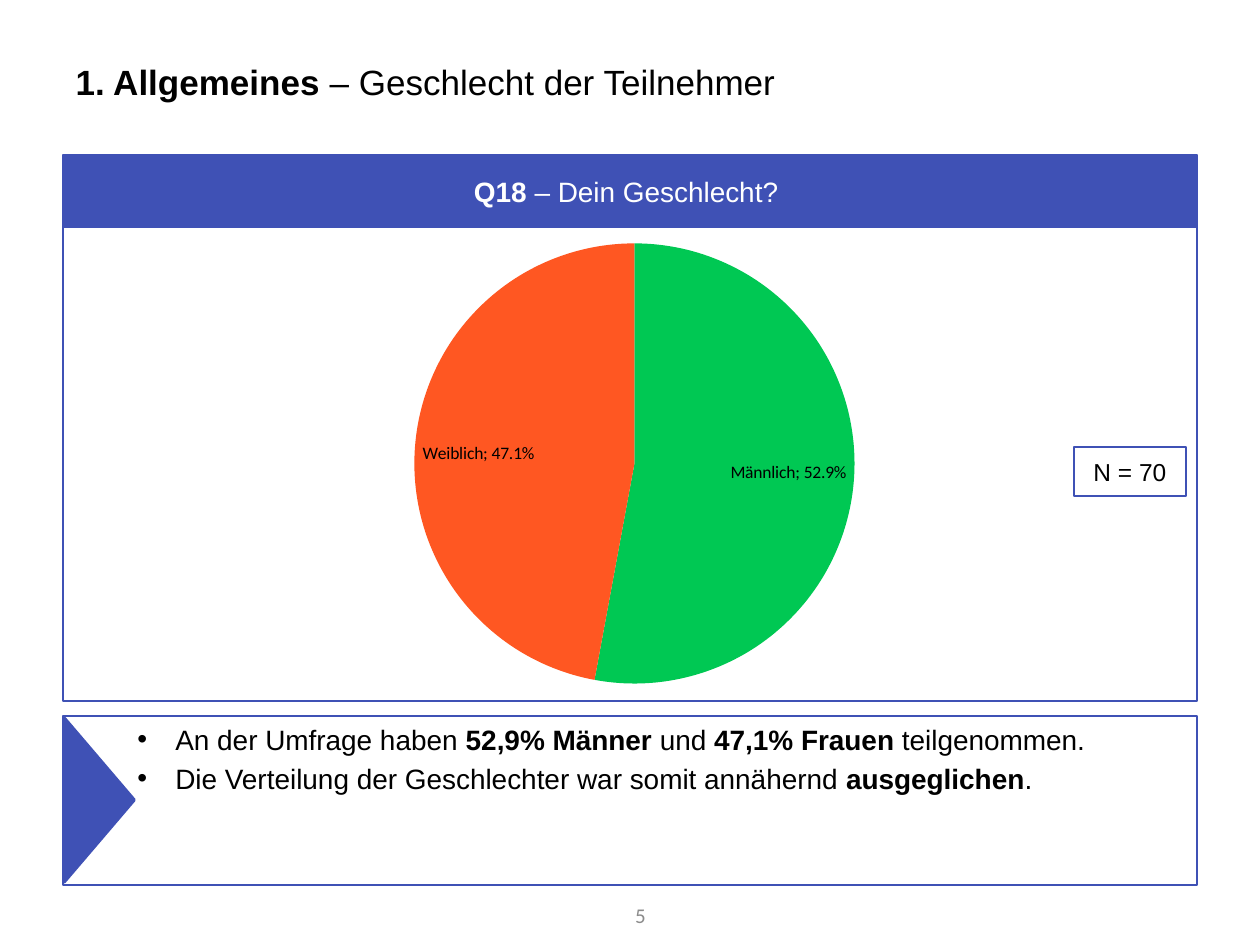
from lxml import etree
from pptx import Presentation
from pptx.chart.data import CategoryChartData
from pptx.dml.color import RGBColor
from pptx.enum.chart import XL_CHART_TYPE, XL_LABEL_POSITION
from pptx.enum.shapes import MSO_SHAPE
from pptx.enum.text import MSO_ANCHOR, PP_ALIGN
from pptx.oxml.ns import qn
from pptx.util import Emu, Pt

PIE = XL_CHART_TYPE.PIE
INSIDE_END = XL_LABEL_POSITION.INSIDE_END
RECTANGLE, TRIANGLE = MSO_SHAPE.RECTANGLE, MSO_SHAPE.ISOSCELES_TRIANGLE
TOP, MIDDLE = MSO_ANCHOR.TOP, MSO_ANCHOR.MIDDLE
LEFT, CENTER, RIGHT = PP_ALIGN.LEFT, PP_ALIGN.CENTER, PP_ALIGN.RIGHT

PIXEL = 914400 // 126
COLORS = {
    "blue": "3F51B5", "green": "00C853", "orange": "FF5722",
    "black": "000000", "white": "FFFFFF", "gray": "8C8C8C",
}

# Each paragraph is a list of (text, bold) spans.
TITLE = [[("1. Allgemeines ", True), ("– Geschlecht der Teilnehmer", False)]]
QUESTION = [[("Q18 ", True), ("– Dein Geschlecht? ", False)]]
SAMPLE = [[("N = 70", False)]]
PAGE_NUMBER = [[("5", False)]]
FINDINGS = [
    [("An der Umfrage haben ", False), ("52,9% Männer ", True), ("und ", False),
     ("47,1% Frauen ", True), ("teilgenommen.", False)],
    [("Die Verteilung der Geschlechter war somit annähernd ", False),
     ("ausgeglichen", True), (".", False)],
]
SHARES = [("Männlich", 0.529, "green"), ("Weiblich", 0.471, "orange")]

# Left, top, width, height in pixels.
PAGE_SIZE = (1260, 945)
TITLE_AT = (63, 38, 1134, 87)
FINDINGS_AT = (63, 716, 1134, 169)
FRAME_AT = (63, 155, 1134, 546)
HEADER_AT = (64, 156, 1132, 70)
SAMPLE_AT = (1074, 447, 112, 49)
NUMBER_AT = (578, 890, 80, 50)
CHART_AT = (194, 226, 881, 475)
MARKER_WIDTH = 70
BULLET_INDENT, BULLET_HANG = 100, 38


def scaled(lengths):
    """Turn pixel lengths into EMU."""
    return [Emu(length * PIXEL) for length in lengths]


def rgb(name):
    """Look up a named colour."""
    return RGBColor.from_string(COLORS[name])


def write(shape, paragraphs, size, color="black", align=LEFT, anchor=MIDDLE,
          font="Arial"):
    """Fill a shape with paragraphs of spans."""
    frame = shape.text_frame
    for name, value in {"word_wrap": True, "vertical_anchor": anchor}.items():
        setattr(frame, name, value)
    for index, spans in enumerate(paragraphs):
        para = frame.add_paragraph() if index else frame.paragraphs[0]
        para.alignment = align
        for text, bold in spans:
            span = para.add_run()
            span.text = text
            span.font.color.rgb = rgb(color)
            style = {"name": font, "size": Pt(size), "bold": bold}
            for name, value in style.items():
                setattr(span.font, name, value)


def add_box(page, kind, place, line_width, filled=False):
    """Add a blue outlined shape, solid or hollow."""
    box = page.shapes.add_shape(kind, *scaled(place))
    box.shadow.inherit = False
    box.line.color.rgb = rgb("blue")
    box.line.width = Pt(line_width)
    if filled:
        box.fill.solid()
        box.fill.fore_color.rgb = rgb("blue")
    else:
        box.fill.background()
    return box


def add_bullets(shape):
    """Give every paragraph a hanging bullet."""
    for para in shape.text_frame.paragraphs:
        para.space_before = Pt(3.2)
        properties = para._p.get_or_add_pPr()
        properties.set("marL", str(BULLET_INDENT * PIXEL))
        properties.set("indent", str(-BULLET_HANG * PIXEL))
        etree.SubElement(properties, qn("a:buFont")).set("typeface", "Arial")
        etree.SubElement(properties, qn("a:buChar")).set("char", "•")


def add_marker(page):
    """Add the triangle that points from the left edge of the findings."""
    left, top, _, height = FINDINGS_AT
    # The box is laid out before a quarter turn, so its sides are swapped.
    length = height - 5
    place = (left + 1 + (MARKER_WIDTH - length) // 2,
             top + (height - MARKER_WIDTH) // 2, length, MARKER_WIDTH)
    add_box(page, TRIANGLE, place, 2, filled=True).rotation = 90


def add_pie(page):
    """Add the pie chart of shares."""
    data = CategoryChartData(number_format="0.0%")
    data.categories = [name for name, _, _ in SHARES]
    data.add_series("Series 1", [share for _, share, _ in SHARES])
    chart = page.shapes.add_chart(PIE, *scaled(CHART_AT), data).chart
    chart.has_legend = chart.has_title = False
    chart.font.name, chart.font.size = "Calibri", Pt(10)
    chart.font.color.rgb = rgb("black")
    plot = chart.plots[0]
    plot.vary_by_categories = True
    for index, (_, _, color) in enumerate(SHARES):
        fill = plot.series[0].points[index].format.fill
        fill.solid()
        fill.fore_color.rgb = rgb(color)
    plot.has_data_labels = True
    label_style = {
        "show_value": True, "show_category_name": True, "show_percentage": False,
        "number_format": "0.0%", "number_format_is_linked": False,
        "position": INSIDE_END,
    }
    for name, value in label_style.items():
        setattr(plot.data_labels, name, value)


def build():
    """Build and save the deck."""
    deck = Presentation()
    deck.slide_width, deck.slide_height = scaled(PAGE_SIZE)
    page = deck.slides.add_slide(deck.slide_layouts[5])

    title = page.shapes.title
    title.left, title.top, title.width, title.height = scaled(TITLE_AT)
    write(title, TITLE, 20)

    findings = add_box(page, RECTANGLE, FINDINGS_AT, 1)
    write(findings, FINDINGS, 16, anchor=TOP)
    add_bullets(findings)
    add_marker(page)

    add_box(page, RECTANGLE, FRAME_AT, 1)
    header = add_box(page, RECTANGLE, HEADER_AT, 2, filled=True)
    write(header, QUESTION, 16, "white", CENTER)
    sample = add_box(page, RECTANGLE, SAMPLE_AT, 1)
    write(sample, SAMPLE, 14, align=CENTER)

    number = page.shapes.add_textbox(*scaled(NUMBER_AT))
    write(number, PAGE_NUMBER, 12, "gray", RIGHT, font="Calibri")
    add_pie(page)
    deck.save("out.pptx")


build()
